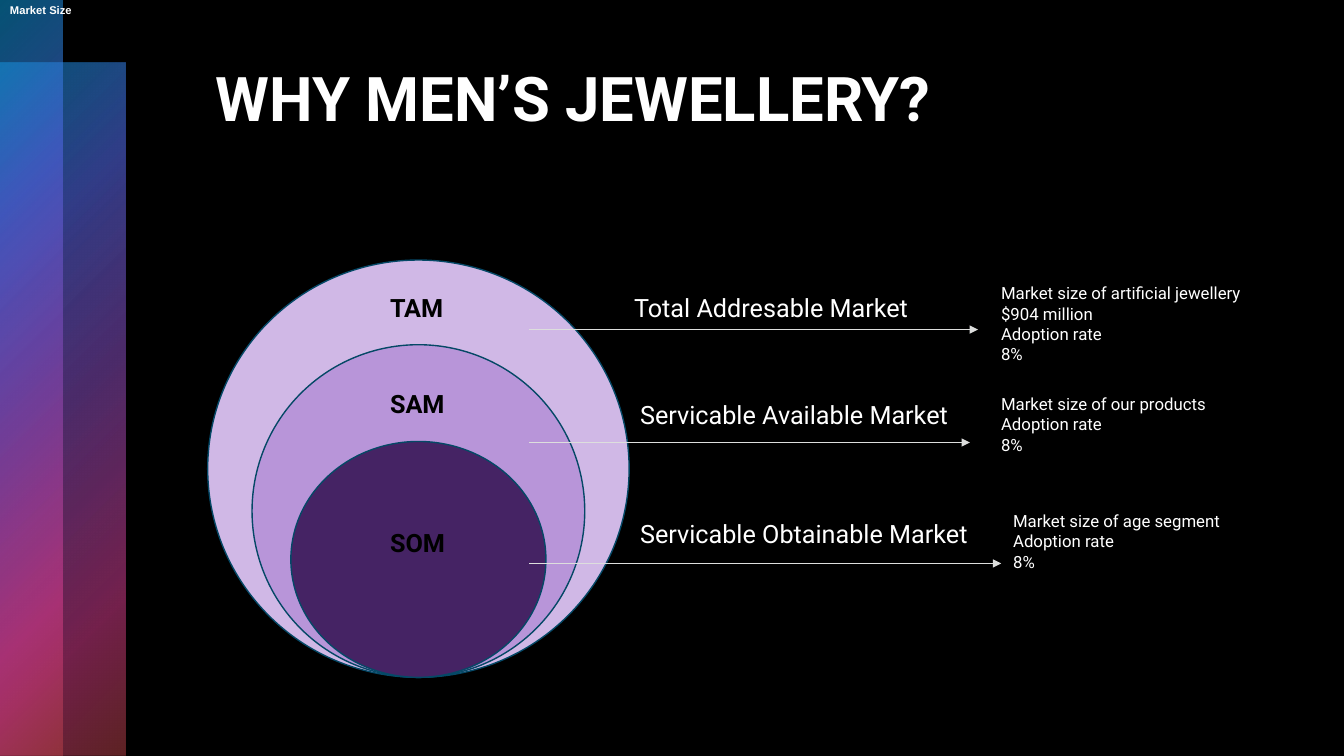
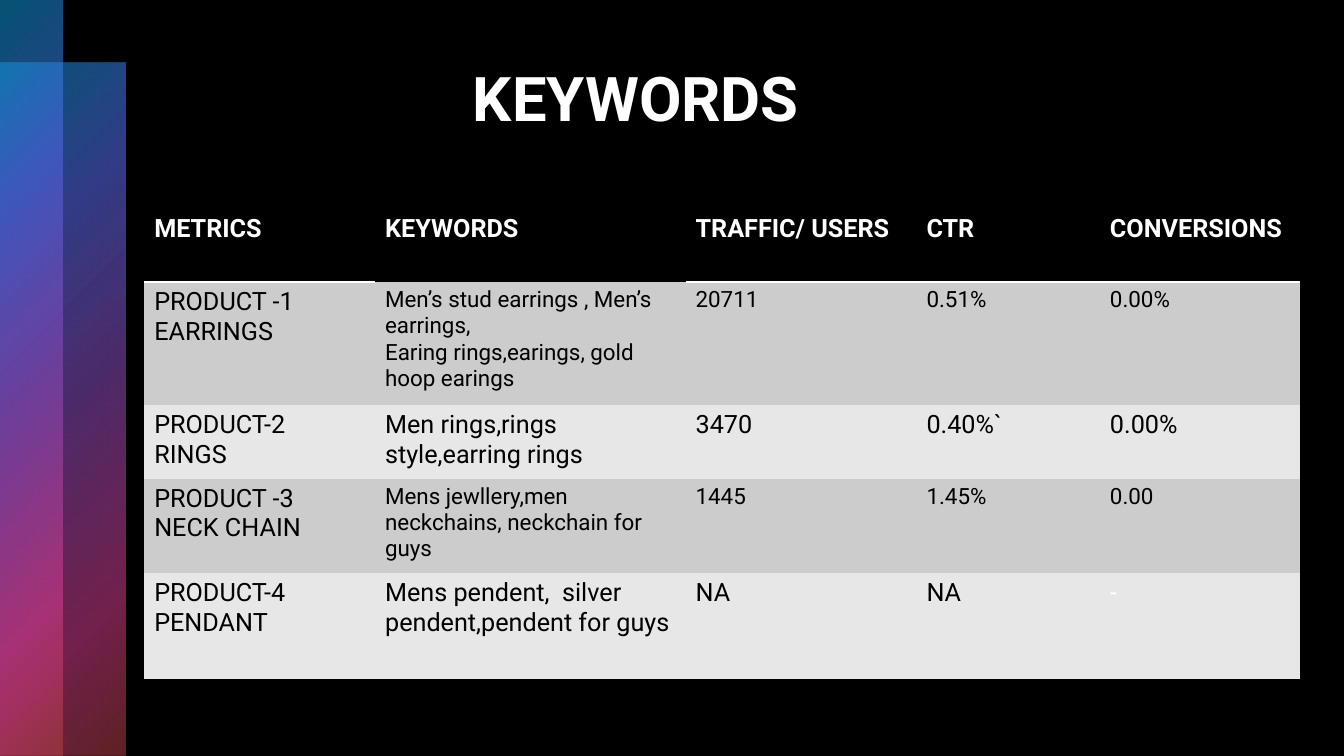
from lxml.etree import SubElement
from pptx import Presentation
from pptx.dml.color import RGBColor
from pptx.enum.shapes import MSO_CONNECTOR, MSO_SHAPE
from pptx.enum.text import MSO_ANCHOR, MSO_AUTO_SIZE, PP_ALIGN
from pptx.oxml.ns import qn
from pptx.util import Inches, Pt

COLORS = {
    "black": "000000",
    "white": "FFFFFF",
    "outline": "054866",
    "arrow": "DDDEDD",
    "tam": "D0B8E6",
    "sam": "B895D9",
    "som": "452364",
    "row_dark": "CCCCCC",
    "row_light": "E7E7E7",
}
# Position, colour and opacity, all but the colour in percent
BAND_STOPS = [(0, "0BA5E8", 50), (25, "5066E1", 60), (50, "894EC0", 55),
              (81, "E54196", 50), (99, "BE4449", 50)]
BANDS = [(0, 0.62, 1.24, 6.88), (0, 0, 0.62, 7.5)]
FONT = "Roboto"
PLAIN_TABLE_STYLE = "{2D5ABB26-0587-4C30-8999-92F81FD0307C}"


def color(name):
    return RGBColor.from_string(COLORS[name])


def percent(value):
    return str(value * 1000)


class Deck:
    def __init__(self):
        self.presentation = Presentation()
        self.presentation.slide_width = Inches(13.33)
        self.presentation.slide_height = Inches(7.5)
        self.layout = self.presentation.slide_layouts[5]
        background = self.presentation.slide_master.background.fill
        background.solid()
        background.fore_color.rgb = color("black")
        self.slide = None

    def add_slide(self, title, indent):
        first = self.slide is None
        self.slide = self.presentation.slides.add_slide(self.layout)
        if first:
            self.add_bands_to_layout()
        shape = self.slide.shapes.title
        shape.left, shape.top = Inches(1.74), Inches(0.5)
        shape.width, shape.height = Inches(10.37), Inches(1.7)
        frame = shape.text_frame
        frame.auto_size = MSO_AUTO_SIZE.NONE
        frame.vertical_anchor = MSO_ANCHOR.TOP
        frame.margin_left, frame.margin_top = Inches(indent), Inches(0.09)
        self.set_text(frame, title, 44, bold=True)

    def add_bands_to_layout(self):
        """Draw the bands on the current slide, then move them to its layout."""
        for index, box in enumerate(BANDS):
            band = self.shape(MSO_SHAPE.RECTANGLE, box)
            self.radial_gradient(band)
            band.element.nvSpPr.cNvPr.set("id", str(101 + index))
            self.layout.shapes.element.insert(2 + index, band.element)

    def radial_gradient(self, shape):
        shape.fill.background()
        properties = shape.element.spPr
        no_fill = properties.find(qn("a:noFill"))
        gradient = SubElement(properties, qn("a:gradFill"), rotWithShape="1")
        stops = SubElement(gradient, qn("a:gsLst"))
        for position, hex_color, opacity in BAND_STOPS:
            stop = SubElement(stops, qn("a:gs"), pos=percent(position))
            tint = SubElement(stop, qn("a:srgbClr"), val=hex_color)
            SubElement(tint, qn("a:alpha"), val=percent(opacity))
        circle = SubElement(gradient, qn("a:path"))
        circle.set("path", "circle")
        SubElement(circle, qn("a:fillToRect"), r=percent(100), b=percent(100))
        properties.replace(no_fill, gradient)

    def set_text(self, frame, text, size, bold=False, ink="white", font=FONT):
        frame.text = text
        for paragraph in frame.paragraphs:
            paragraph.alignment = PP_ALIGN.LEFT
            for run in paragraph.runs:
                run.font.name = font
                run.font.size = Pt(size)
                run.font.bold = bold
                run.font.color.rgb = color(ink)

    def shape(self, kind, box):
        shape = self.slide.shapes.add_shape(kind, *map(Inches, box))
        shape.shadow.inherit = False
        shape.line.fill.background()
        return shape

    def ellipse(self, box, fill):
        ellipse = self.shape(MSO_SHAPE.OVAL, box)
        ellipse.fill.solid()
        ellipse.fill.fore_color.rgb = color(fill)
        ellipse.line.color.rgb = color("outline")
        ellipse.line.width = Pt(1)

    def text(self, box, text, size, **style):
        frame = self.slide.shapes.add_textbox(*map(Inches, box)).text_frame
        frame.word_wrap = False
        frame.auto_size = MSO_AUTO_SIZE.SHAPE_TO_FIT_TEXT
        self.set_text(frame, text, size, **style)

    def arrow(self, left, right, y):
        arrow = self.slide.shapes.add_connector(
            MSO_CONNECTOR.STRAIGHT, Inches(left), Inches(y), Inches(right), Inches(y))
        arrow.line.color.rgb = color("arrow")
        arrow.line.width = Pt(0.5)
        properties = arrow.element.spPr
        SubElement(properties.find(qn("a:ln")), qn("a:tailEnd"), type="triangle")
        SubElement(properties, qn("a:effectLst"))

    def table(self, left, top, widths, heights):
        frame = self.slide.shapes.add_table(
            len(heights), len(widths), Inches(left), Inches(top),
            Inches(sum(widths)), Inches(sum(heights)))
        table = frame.table
        table.horz_banding = False
        next(frame.element.iter(qn("a:tableStyleId"))).text = PLAIN_TABLE_STYLE
        for column, width in zip(table.columns, widths):
            column.width = Inches(width)
        for row, height in zip(table.rows, heights):
            row.height = Inches(height)
        return table

    def cell(self, cell, text, size, fill, underline=False, **style):
        self.set_text(cell.text_frame, text, size, **style)
        if underline:
            properties = cell._tc.get_or_add_tcPr()
            border = SubElement(properties, qn("a:lnB"), w=str(Pt(2)))
            solid = SubElement(border, qn("a:solidFill"))
            SubElement(solid, qn("a:srgbClr"), val=COLORS["white"])
        cell.fill.solid()
        cell.fill.fore_color.rgb = color(fill)


def add_market_slide(deck):
    deck.add_slide("WHY MEN’S JEWELLERY?", 0.4)
    deck.text((0, -0.02, 7.22, 0.54), "Market Size", 8, bold=True, font="Arial")

    center, bottom = 4.15, 6.72
    for fill, width, height in [("tam", 4.18, 4.14), ("sam", 3.3, 3.3), ("som", 2.53, 2.34)]:
        deck.ellipse((center - width / 2, bottom - height, width, height), fill)

    for y, end in [(3.27, 9.7), (4.39, 9.62), (5.59, 9.93)]:
        deck.arrow(5.25, end, y)

    for left, top, width, name in [
        (6.19, 2.85, 3.12, "Total Addresable Market"),
        (6.25, 3.91, 3.45, "Servicable Available Market"),
        (6.25, 5.09, 3.69, "Servicable Obtainable Market"),
    ]:
        deck.text((left, top, width, 0.4), name, 18)

    for top, label in [(2.85, "TAM"), (3.8, "SAM"), (5.18, "SOM")]:
        deck.text((3.77, top, 0.78, 0.4), label, 18, bold=True, ink="black")

    for box, basis in [
        ((9.83, 2.76, 2.71, 0.91), "artificial jewellery\n$904 million"),
        ((9.83, 3.86, 2.41, 0.71), "our products"),
        ((9.95, 5.02, 2.47, 0.71), "age segment"),
    ]:
        deck.text(box, f"Market size of {basis}\nAdoption rate\n8%", 12)


def add_keywords_slide(deck):
    deck.add_slide("KEYWORDS", 2.95)
    headings = ["METRICS", "KEYWORDS", "TRAFFIC/ USERS", "CTR", "CONVERSIONS"]
    products = [
        ("PRODUCT -1\nEARRINGS",
         "Men’s stud earrings , Men’s earrings,\nEaring rings,earings, gold hoop earings",
         "20711", "0.51%", "0.00%"),
        ("PRODUCT-2\nRINGS", "Men rings,rings style,earring rings",
         "3470", "0.40%`", "0.00%"),
        ("PRODUCT -3\nNECK CHAIN", "Mens jewllery,men neckchains, neckchain for guys",
         "1445", "1.45%", "0.00"),
        ("PRODUCT-4\nPENDANT", "Mens pendent,  silver pendent,pendent for guys",
         "NA", "NA", "-"),
    ]
    table = deck.table(1.43, 2.07, [2.29, 3.08, 2.29, 1.82, 1.98],
                       [0.73, 1.22, 0.73, 0.94, 1.05])
    for column, heading in enumerate(headings):
        deck.cell(table.cell(0, column), heading, 18, "black",
                  underline=heading != "KEYWORDS", bold=True)
    for row, product in enumerate(products, start=1):
        fill, detail_size = ("row_dark", 16) if row % 2 else ("row_light", 18)
        for column, text in enumerate(product):
            deck.cell(table.cell(row, column), text, detail_size if column else 18, fill,
                      ink="white" if text == "-" else "black")


def main():
    deck = Deck()
    add_market_slide(deck)
    add_keywords_slide(deck)
    deck.presentation.save("out.pptx")


if __name__ == "__main__":
    main()
